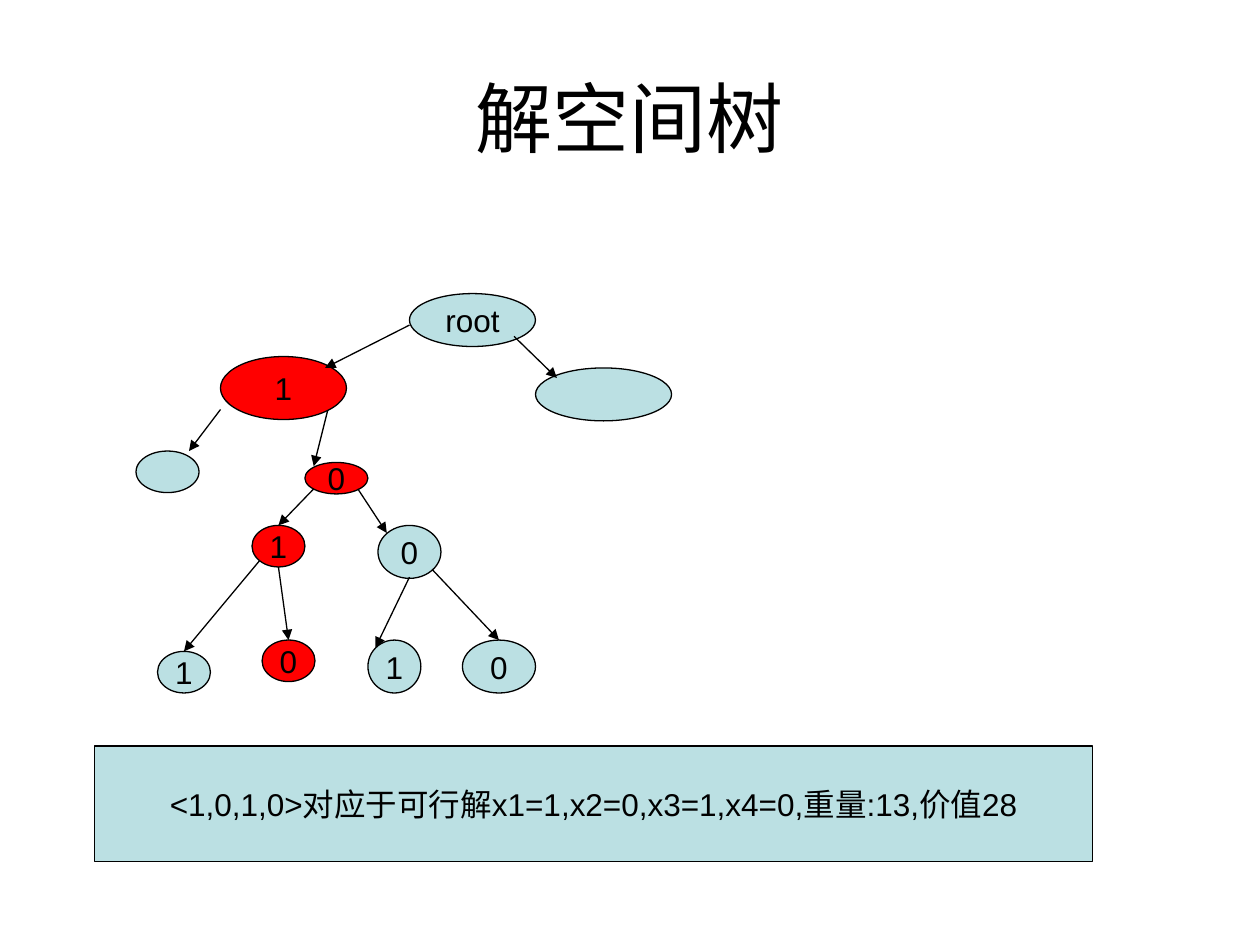
from lxml.etree import SubElement
from pptx import Presentation
from pptx.dml.color import RGBColor
from pptx.enum.shapes import MSO_CONNECTOR, MSO_SHAPE
from pptx.enum.text import MSO_ANCHOR, PP_ALIGN
from pptx.oxml.ns import qn
from pptx.util import Inches, Pt

BLACK = RGBColor(0x00, 0x00, 0x00)
PALE_BLUE = RGBColor(0xBB, 0xE0, 0xE3)
RED = RGBColor(0xFF, 0x00, 0x00)


def write(shape, text, size):
    frame = shape.text_frame
    frame.text = text
    frame.vertical_anchor = MSO_ANCHOR.MIDDLE
    paragraph = frame.paragraphs[0]
    paragraph.alignment = PP_ALIGN.CENTER
    for run in paragraph.runs:
        run.font.name = "Arial"
        run.font.size = Pt(size)
        run.font.color.rgb = BLACK


def add_box(kind, bounds, fill, text):
    box = slide.shapes.add_shape(kind, *map(Inches, bounds))
    box.shadow.inherit = False
    box.fill.solid()
    box.fill.fore_color.rgb = fill
    box.line.color.rgb = BLACK
    box.line.width = Pt(0.75)
    box.text_frame.word_wrap = False
    if text:
        write(box, text, 18)
    return box


prs = Presentation()
prs.slide_width, prs.slide_height = Inches(10), Inches(7.5)
slide = prs.slides.add_slide(prs.slide_layouts[6])

# Title
title = slide.shapes.add_textbox(Inches(0.5), Inches(0.3), Inches(9), Inches(1.25))
title.text_frame.word_wrap = True
write(title, "解空间树", 44)

# Tree nodes, named by the choices that lead to them; red marks the solution
nodes = {
    "root": ((3.25, 2.33, 1, 0.42), PALE_BLUE, "root"),
    "1": ((1.75, 2.83, 1, 0.5), RED, "1"),
    "0": ((4.25, 2.92, 1.08, 0.42), PALE_BLUE, ""),
    "11": ((1.08, 3.58, 0.5, 0.33), PALE_BLUE, ""),
    "10": ((2.42, 3.67, 0.5, 0.25), RED, "0"),
    "101": ((2, 4.17, 0.42, 0.33), RED, "1"),
    "100": ((3, 4.17, 0.5, 0.42), PALE_BLUE, "0"),
    "1011": ((1.25, 5.17, 0.42, 0.33), PALE_BLUE, "1"),
    "1010": ((2.08, 5.08, 0.42, 0.33), RED, "0"),
    "1001": ((2.92, 5.08, 0.42, 0.42), PALE_BLUE, "1"),
    "1000": ((3.67, 5.08, 0.58, 0.42), PALE_BLUE, "0"),
}
ovals = {name: add_box(MSO_SHAPE.OVAL, *node) for name, node in nodes.items()}

# Branches: start, end, and the node whose top the arrow joins, if any
branches = [
    ((3.25, 2.58), (2.58, 2.92), None),
    ((4.08, 2.67), (4.42, 3), None),
    ((1.75, 3.25), (1.5, 3.58), None),
    ((2.6, 3.26), (2.49, 3.7), None),
    ((2.49, 3.88), (2.21, 4.17), "101"),
    ((2.84, 3.88), (3.07, 4.23), None),
    ((2.06, 4.45), (1.46, 5.17), "1011"),
    ((2.21, 4.5), (2.29, 5.08), "1010"),
    ((3.25, 4.58), (2.98, 5.14), None),
    ((3.43, 4.52), (3.96, 5.08), "1000"),
]
for start, end, child in branches:
    branch = slide.shapes.add_connector(
        MSO_CONNECTOR.STRAIGHT, *map(Inches, start + end))
    if child:
        branch.end_connect(ovals[child], 0)
    branch.line.color.rgb = BLACK
    branch.line.width = Pt(0.75)
    SubElement(branch.line._get_or_add_ln(), qn("a:tailEnd"), type="triangle")
    SubElement(branch._element.spPr, qn("a:effectLst"))

# Solution read off the red path
add_box(MSO_SHAPE.RECTANGLE, (0.75, 5.92, 7.92, 0.92), PALE_BLUE,
        "<1,0,1,0>对应于可行解x1=1,x2=0,x3=1,x4=0,重量:13,价值28")

prs.save("out.pptx")
